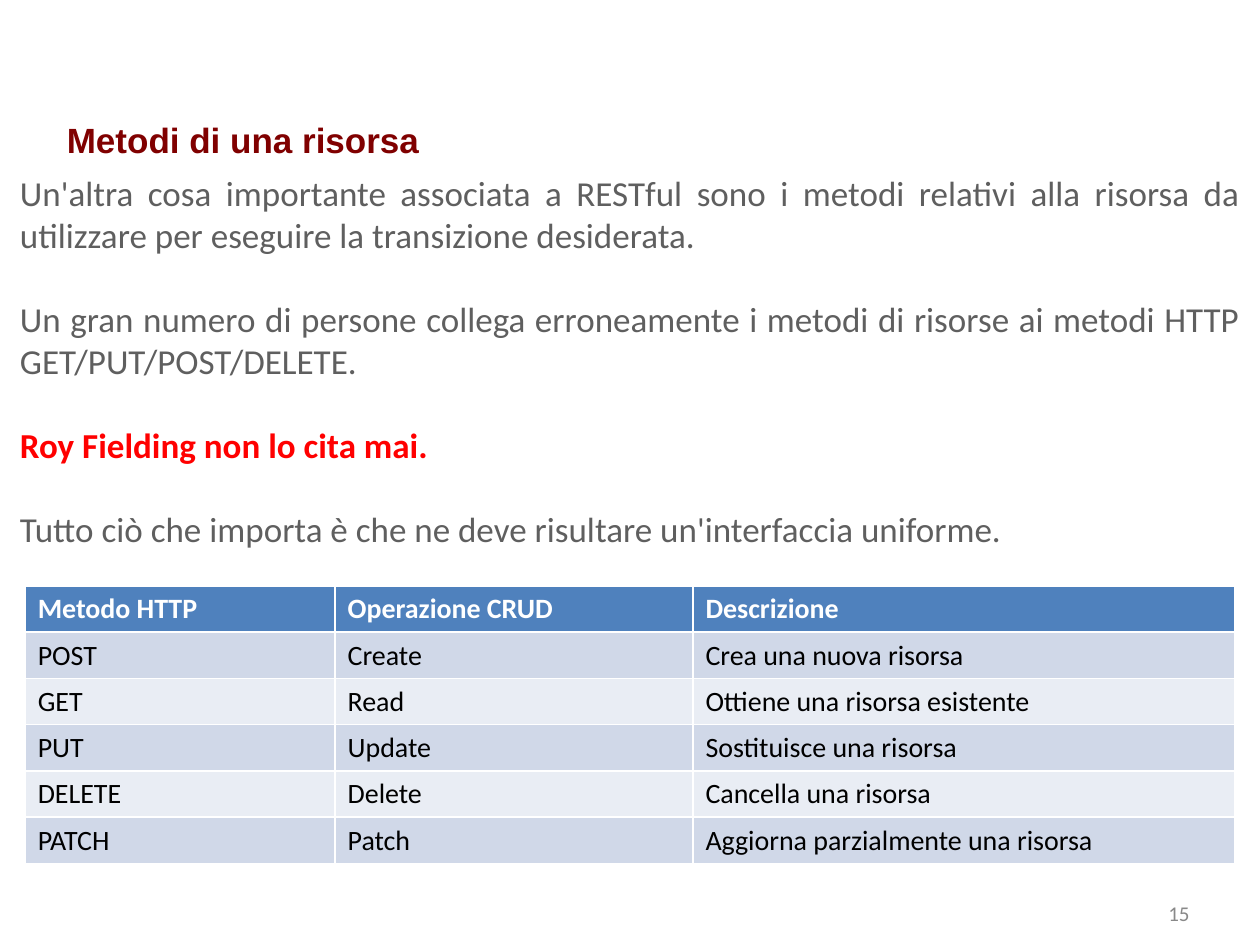
from dataclasses import dataclass

import pptx
import pptx.dml.color
import pptx.enum.text
import pptx.util

Inches = pptx.util.Inches
Pt = pptx.util.Pt
Align = pptx.enum.text.PP_ALIGN
Anchor = pptx.enum.text.MSO_ANCHOR

GREY, RED, MAROON = "5F5F5F", "FF0000", "800000"
WHITE, BLACK, PAGE_GREY = "FFFFFF", "000000", "898989"
HEADER_BLUE, BANDS = "4F81BD", ("D0D8E8", "E9EDF4")


@dataclass(frozen=True)
class Statement:
    text: str
    color: str = GREY
    bold: bool = False


STATEMENTS = [
    Statement("Un'altra cosa importante associata a RESTful sono i metodi relativi "
              "alla risorsa da utilizzare per eseguire la transizione desiderata."),
    Statement("Un gran numero di persone collega erroneamente i metodi di risorse "
              "ai metodi HTTP GET/PUT/POST/DELETE."),
    Statement("Roy Fielding non lo cita mai.", RED, True),
    Statement("Tutto ciò che importa è che ne deve risultare un'interfaccia uniforme."),
]

METHOD_ROWS = [
    ("Metodo HTTP", "Operazione CRUD", "Descrizione"),
    ("POST", "Create", "Crea una nuova risorsa"),
    ("GET", "Read", "Ottiene una risorsa esistente"),
    ("PUT", "Update", "Sostituisce una risorsa"),
    ("DELETE", "Delete", "Cancella una risorsa"),
    ("PATCH", "Patch", "Aggiorna parzialmente una risorsa"),
]
COLUMN_WIDTHS = (2.46, 2.84, 4.3)
TABLE_HEIGHT = 2.2


def rgb(color: str) -> pptx.dml.color.RGBColor:
    return pptx.dml.color.RGBColor.from_string(color)


def write(paragraph, text: str, size: float, color: str, bold: bool = False,
          align=Align.LEFT, font: str = "Calibri") -> None:
    paragraph.text = text
    paragraph.alignment = align
    paragraph.font.name = font
    paragraph.font.size = Pt(size)
    paragraph.font.bold = bold
    paragraph.font.color.rgb = rgb(color)


def place_title(title) -> None:
    title.left, title.top = Inches(0.43), Inches(0.6)
    title.width, title.height = Inches(9), Inches(1.01)
    title.text_frame.vertical_anchor = Anchor.MIDDLE
    write(title.text_frame.paragraphs[0], "Metodi di una risorsa", 20, MAROON,
          bold=True, font="Arial")


def add_statements(slide) -> None:
    frame = slide.shapes.add_textbox(
        Inches(0.06), Inches(1.31), Inches(9.88), Inches(3.13)).text_frame
    frame.word_wrap = True
    for index, statement in enumerate(STATEMENTS):
        paragraph = frame.add_paragraph() if index else frame.paragraphs[0]
        write(paragraph, statement.text, 20, statement.color, statement.bold, Align.JUSTIFY)
        if index:
            paragraph.space_before = Pt(24)


def add_methods_table(slide) -> None:
    table = slide.shapes.add_table(
        len(METHOD_ROWS), len(COLUMN_WIDTHS), Inches(0.2), Inches(4.65),
        Inches(sum(COLUMN_WIDTHS)), Inches(TABLE_HEIGHT)).table
    for column, width in zip(table.columns, COLUMN_WIDTHS):
        column.width = Inches(width)
    for row, texts in enumerate(METHOD_ROWS):
        is_header = row == 0
        for column, text in enumerate(texts):
            cell = table.cell(row, column)
            cell.fill.solid()
            cell.fill.fore_color.rgb = rgb(HEADER_BLUE if is_header else BANDS[(row - 1) % 2])
            write(cell.text_frame.paragraphs[0], text, 16,
                  WHITE if is_header else BLACK, is_header)


def add_page_number(slide) -> None:
    frame = slide.shapes.add_textbox(
        Inches(7.21), Inches(7.05), Inches(2.33), Inches(0.4)).text_frame
    frame.word_wrap = True
    frame.vertical_anchor = Anchor.MIDDLE
    write(frame.paragraphs[0], "15", 12, PAGE_GREY, align=Align.RIGHT)


def main() -> None:
    presentation = pptx.Presentation()
    presentation.slide_width, presentation.slide_height = Inches(10), Inches(7.5)
    slide = presentation.slides.add_slide(presentation.slide_layouts[5])
    place_title(slide.shapes.title)
    add_page_number(slide)
    add_statements(slide)
    add_methods_table(slide)
    presentation.save("out.pptx")


if __name__ == "__main__":
    main()
